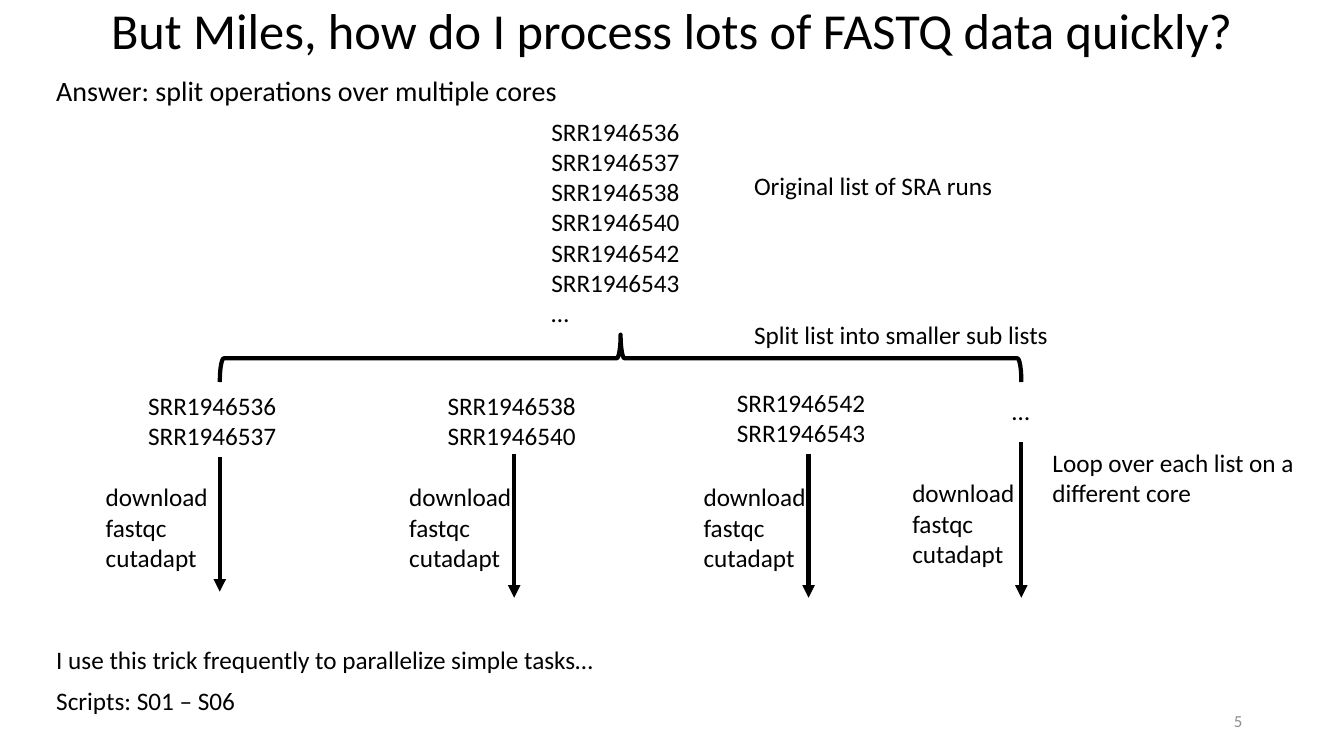
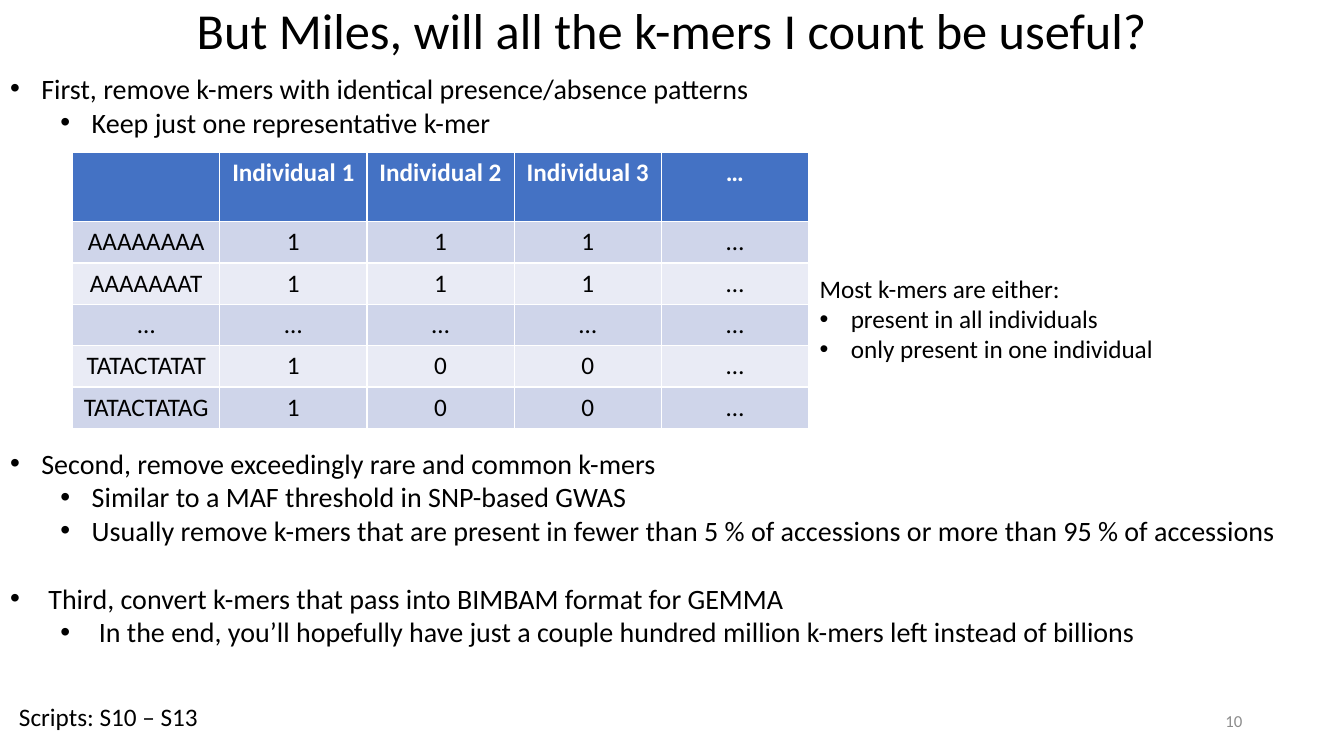
from dataclasses import dataclass
from typing import Any, Sequence

import pptx
import pptx.dml.color
import pptx.enum.shapes
import pptx.enum.text
import pptx.oxml.ns
import pptx.util
from lxml import etree

Inches = pptx.util.Inches
Pt = pptx.util.Pt
ALIGN = pptx.enum.text.PP_ALIGN
ANCHOR = pptx.enum.text.MSO_ANCHOR
AUTO_SIZE = pptx.enum.text.MSO_AUTO_SIZE

COLORS = {
    "text": "000000",
    "number": "8C8C8C",
    "header": "4472C4",
    "header_text": "FFFFFF",
    "band_dark": "CFD5EA",
    "band_light": "E9EBF5",
}
FONT = "Calibri"
SLIDE_WIDTH, SLIDE_HEIGHT = 13.33, 7.5
TITLE_HEIGHT = 0.66
LINE_PITCH = 24.4
TITLE_ONLY, TITLE_AND_BODY = 5, 1


@dataclass(frozen=True)
class Box:
    left: float
    top: float
    width: float
    height: float


@dataclass(frozen=True)
class Line:
    text: str
    level: int = 0
    margin: float = 0
    hang: float = 0
    lines_after: int = 0


@dataclass(frozen=True)
class Note:
    box: Box
    lines: Sequence[Line]
    wrap: bool = False
    size: int = 18


@dataclass(frozen=True)
class Lane:
    runs: Note
    steps_left: float
    steps_top: float
    arrow_x: float
    arrow_top: float
    arrow_bottom: float


def color(key: str) -> pptx.dml.color.RGBColor:
    return pptx.dml.color.RGBColor.from_string(COLORS[key])


def plain(*texts: str) -> list[Line]:
    return [Line(text) for text in texts]


def style(paragraph: Any, size: int, key: str = "text", bold: bool = False) -> None:
    font = paragraph.font
    font.name, font.size, font.bold = FONT, Pt(size), bold
    font.color.rgb = color(key)


def place(shape: Any, box: Box) -> None:
    shape.left, shape.top = Inches(box.left), Inches(box.top)
    shape.width, shape.height = Inches(box.width), Inches(box.height)


def add_bullet(paragraph: Any, line: Line) -> None:
    properties = paragraph._p.get_or_add_pPr()
    properties.set("marL", str(Inches(line.margin)))
    properties.set("indent", str(-Inches(line.hang)))
    for tag, attribute, value in (("a:buFont", "typeface", "Arial"), ("a:buChar", "char", "•")):
        etree.SubElement(properties, pptx.oxml.ns.qn(tag)).set(attribute, value)


def write_lines(frame: Any, lines: Sequence[Line], size: int) -> None:
    for index, line in enumerate(lines):
        paragraph = frame.add_paragraph() if index else frame.paragraphs[0]
        paragraph.text = line.text
        paragraph.level = line.level
        if line.hang:
            add_bullet(paragraph, line)
        paragraph.space_before = Pt(0)
        paragraph.space_after = Pt(line.lines_after * LINE_PITCH)
        style(paragraph, size)


def add_note(slide: Any, note: Note) -> None:
    box = note.box
    frame = slide.shapes.add_textbox(
        Inches(box.left), Inches(box.top), Inches(box.width), Inches(box.height)
    ).text_frame
    frame.word_wrap = note.wrap
    frame.auto_size = AUTO_SIZE.SHAPE_TO_FIT_TEXT
    write_lines(frame, note.lines, note.size)


def add_slide(deck: Any, layout: int, title: str, number: int) -> Any:
    slide = deck.slides.add_slide(deck.slide_layouts[layout])
    heading = slide.shapes.title
    place(heading, Box(0, 0, SLIDE_WIDTH, TITLE_HEIGHT))
    heading.text_frame.text = title
    heading.text_frame.auto_size = AUTO_SIZE.NONE
    heading.text_frame.vertical_anchor = ANCHOR.MIDDLE
    paragraph = heading.text_frame.paragraphs[0]
    paragraph.alignment = ALIGN.CENTER
    paragraph.line_spacing = 0.9
    style(paragraph, 36)

    footer = slide.shapes.add_textbox(Inches(9.42), Inches(6.95), Inches(3), Inches(0.4)).text_frame
    footer.word_wrap = True
    footer.vertical_anchor = ANCHOR.MIDDLE
    footer.text = str(number)
    footer.paragraphs[0].alignment = ALIGN.RIGHT
    style(footer.paragraphs[0], 12, "number")
    return slide


def add_arrow(slide: Any, x: float, top: float, bottom: float) -> None:
    arrow = slide.shapes.add_connector(
        pptx.enum.shapes.MSO_CONNECTOR.STRAIGHT, Inches(x), Inches(top), Inches(x), Inches(bottom)
    )
    arrow.line.color.rgb = color("text")
    arrow.line.width = Pt(3)
    qn = pptx.oxml.ns.qn
    etree.SubElement(arrow.line._get_or_add_ln(), qn("a:tailEnd")).set("type", "triangle")
    etree.SubElement(arrow._element.spPr, qn("a:effectLst"))


def add_split_brace(slide: Any) -> None:
    brace = slide.shapes.add_shape(
        pptx.enum.shapes.MSO_SHAPE.LEFT_BRACE, Inches(5.92), Inches(-0.42), Inches(0.47), Inches(7.95)
    )
    brace.rotation = 90
    brace.shadow.inherit = False
    brace.fill.background()
    brace.line.color.rgb = color("text")
    brace.line.width = Pt(3)


def add_lane(slide: Any, lane: Lane) -> None:
    add_note(slide, lane.runs)
    add_arrow(slide, lane.arrow_x, lane.arrow_top, lane.arrow_bottom)
    steps = Box(lane.steps_left, lane.steps_top, 1.23, 1.01)
    add_note(slide, Note(steps, plain("download", "fastqc", "cutadapt")))


def add_kmer_table(slide: Any, rows: Sequence[Sequence[str]]) -> None:
    column_width, header_height, row_height = 1.46, 0.69, 0.41
    columns = len(rows[0])
    table = slide.shapes.add_table(
        len(rows), columns, Inches(0.72), Inches(1.51), Inches(columns * column_width),
        Inches(header_height + (len(rows) - 1) * row_height),
    ).table
    for column in table.columns:
        column.width = Inches(column_width)
    for index, values in enumerate(rows):
        is_header = index == 0
        table.rows[index].height = Inches(header_height if is_header else row_height)
        band = "header" if is_header else ("band_dark" if index % 2 else "band_light")
        for cell, value in zip(table.rows[index].cells, values):
            cell.fill.solid()
            cell.fill.fore_color.rgb = color(band)
            cell.text = value
            paragraph = cell.text_frame.paragraphs[0]
            paragraph.alignment = ALIGN.CENTER
            style(paragraph, 18, "header_text" if is_header else "text", is_header)


RUNS = ["SRR1946536", "SRR1946537", "SRR1946538", "SRR1946540", "SRR1946542", "SRR1946543"]

PARALLEL_NOTES = [
    Note(Box(0.46, 0.68, 5.87, 0.44), plain("Answer: split operations over multiple cores"), True, 20),
    Note(Box(5.37, 1.1, 1.56, 2.22), plain(*RUNS, "…"), True),
    Note(Box(7.38, 1.64, 2.59, 0.4), plain("Original list of SRA runs")),
    Note(Box(7.38, 3.12, 3.15, 0.4), plain("Split list into smaller sub lists")),
    Note(Box(10.34, 4.39, 2.73, 0.71), plain("Loop over each list on a different core"), True),
    Note(Box(0.46, 6.34, 5.6, 0.4), plain("I use this trick frequently to parallelize simple tasks…")),
    Note(Box(0.46, 6.75, 2, 0.4), plain("Scripts: S01 – S06")),
]

LANES = [
    Lane(Note(Box(1.37, 3.82, 1.61, 0.71), plain(*RUNS[:2]), True), 0.95, 4.73, 2.18, 4.53, 5.87),
    Lane(Note(Box(4.34, 3.82, 1.52, 0.71), plain(*RUNS[2:4]), True), 3.96, 4.73, 5.1, 4.5, 5.93),
    Lane(Note(Box(7.21, 3.79, 1.61, 0.71), plain(*RUNS[4:]), True), 6.88, 4.73, 8.02, 4.5, 5.93),
    Lane(Note(Box(9.94, 3.87, 0.38, 0.4), plain("…")), 8.95, 4.69, 10.13, 4.39, 5.93),
]

FILTER_STEPS = [
    Line("First, remove k-mers with identical presence/absence patterns", 0, 0.31, 0.31),
    Line("Keep just one representative k-mer", 1, 0.81, 0.31, lines_after=9),
    Line("Second, remove exceedingly rare and common k-mers", 0, 0.31, 0.31),
    Line("Similar to a MAF threshold in SNP-based GWAS", 1, 0.81, 0.31),
    Line(
        "Usually remove k-mers that are present in fewer than 5 % of accessions "
        "or more than 95 % of accessions", 1, 0.81, 0.31, lines_after=1,
    ),
    Line("Third, convert k-mers that pass into BIMBAM format for GEMMA", 0, 0.38, 0.38),
    Line(
        "In the end, you’ll hopefully have just a couple hundred million k-mers left "
        "instead of billions", 1, 0.88, 0.38,
    ),
]

KMER_ROWS = [
    ["", "Individual 1", "Individual 2", "Individual 3", "…"],
    ["AAAAAAAA", "1", "1", "1", "…"],
    ["AAAAAAAT", "1", "1", "1", "…"],
    ["…"] * 5,
    ["TATACTATAT", "1", "0", "0", "…"],
    ["TATACTATAG", "1", "0", "0", "…"],
]

KMER_NOTES = [
    Note(
        Box(8.03, 2.66, 4.01, 1.01),
        [
            Line("Most k-mers are either:"),
            Line("present in all individuals", 0, 0.31, 0.31),
            Line("only present in one individual", 0, 0.31, 0.31),
        ],
        True,
    ),
    Note(Box(0.09, 6.91, 2, 0.4), plain("Scripts: S10 – S13")),
]


def build_parallel_slide(deck: Any) -> None:
    slide = add_slide(deck, TITLE_ONLY, "But Miles, how do I process lots of FASTQ data quickly?", 5)
    for note in PARALLEL_NOTES:
        add_note(slide, note)
    add_split_brace(slide)
    for lane in LANES:
        add_lane(slide, lane)


def build_kmer_slide(deck: Any) -> None:
    slide = add_slide(deck, TITLE_AND_BODY, "But Miles, will all the k-mers I count be useful?", 10)
    steps = slide.placeholders[1]
    place(steps, Box(0, TITLE_HEIGHT, SLIDE_WIDTH, 5.82))
    steps.text_frame.auto_size = AUTO_SIZE.NONE
    write_lines(steps.text_frame, FILTER_STEPS, 20)
    add_kmer_table(slide, KMER_ROWS)
    for note in KMER_NOTES:
        add_note(slide, note)


def main() -> None:
    deck = pptx.Presentation()
    deck.slide_width, deck.slide_height = Inches(SLIDE_WIDTH), Inches(SLIDE_HEIGHT)
    build_parallel_slide(deck)
    build_kmer_slide(deck)
    deck.save("out.pptx")


main()
